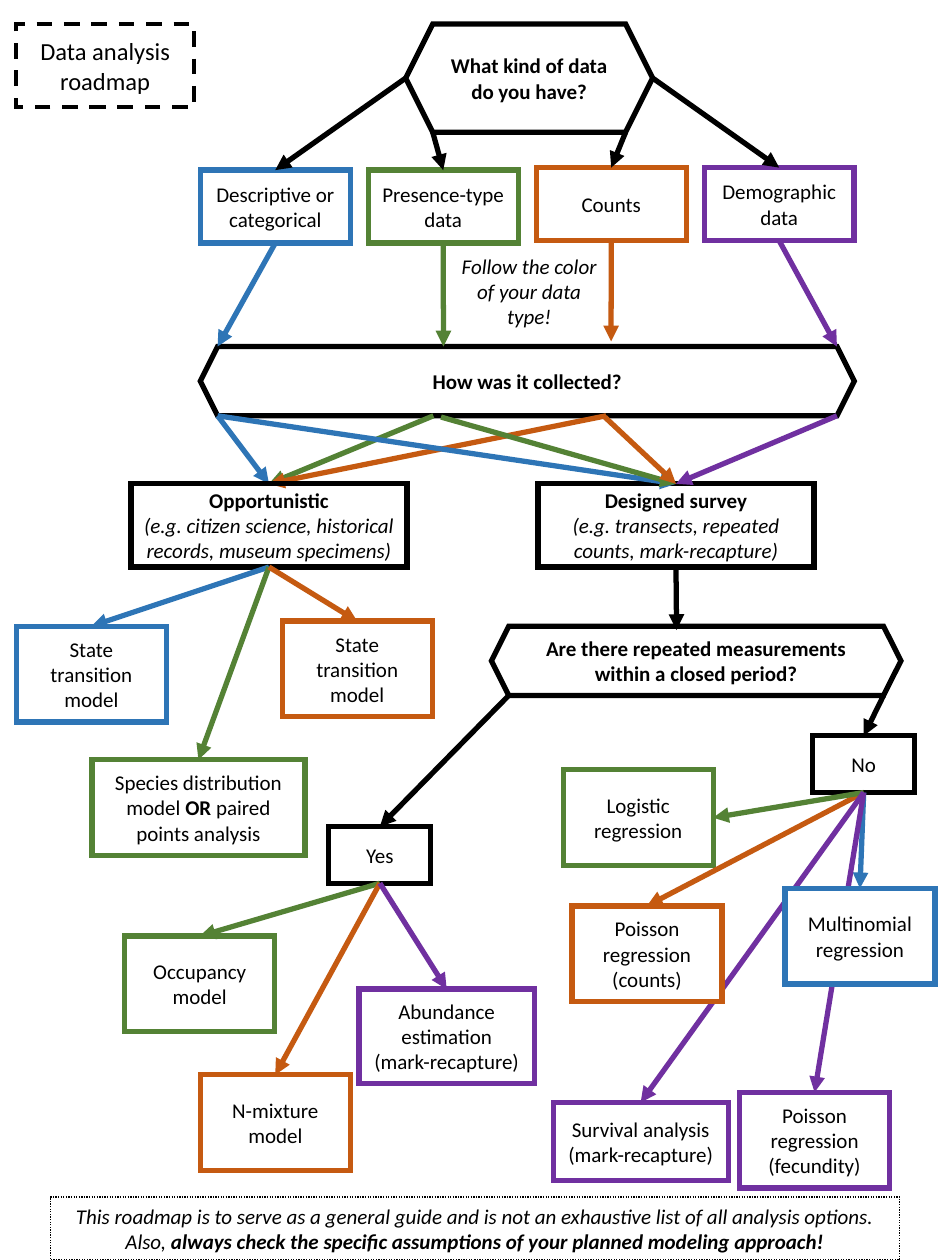
from lxml.etree import SubElement
from pptx import Presentation
from pptx.dml.color import RGBColor
from pptx.enum.dml import MSO_LINE as Dash
from pptx.enum.shapes import MSO_CONNECTOR as Connector, MSO_SHAPE as Preset
from pptx.enum.text import MSO_ANCHOR as Anchor, MSO_AUTO_SIZE as AutoSize, PP_ALIGN as Align
from pptx.oxml.ns import qn
from pptx.util import Inches, Pt

BLACK, WHITE = "000000", "FFFFFF"
BLUE, GREEN, ORANGE, PURPLE = "2E75B6", "548235", "C55A11", "7030A0"
COLUMNS, ROWS = 75, 100
TOP, LEFT, BOTTOM, RIGHT = range(4)
SITE_SHARES = [(0.5, 0), (0, 0.5), (0.5, 1), (1, 0.5)]


def color(hex_string):
    return RGBColor.from_string(hex_string)


def add_run(paragraph, text, size=12, bold=False, italic=False):
    run = paragraph.add_run()
    run.text = text
    font = run.font
    font.name, font.size, font.bold, font.italic = "Calibri", Pt(size), bold, italic
    font.color.rgb = color(BLACK)


class Flowchart:
    """Draws on one slide, with lengths in columns and rows of its grid."""

    def __init__(self, presentation):
        self.slide = presentation.slides.add_slide(presentation.slide_layouts[5])
        self.shapes = self.slide.shapes
        self.column = presentation.slide_width / COLUMNS
        self.row = presentation.slide_height / ROWS

    def at(self, column, row):
        return round(column * self.column), round(row * self.row)

    def set_text(self, shape, paragraphs, anchor=Anchor.MIDDLE, **style):
        """Fill a shape with paragraphs, each a string or a list of (text, format) runs."""
        if isinstance(paragraphs, str):
            paragraphs = [paragraphs]
        frame = shape.text_frame
        frame.word_wrap, frame.auto_size = True, AutoSize.NONE
        frame.vertical_anchor = anchor
        for index, runs in enumerate(paragraphs):
            paragraph = frame.add_paragraph() if index else frame.paragraphs[0]
            paragraph.alignment = Align.CENTER
            for text, extra in [(runs, {})] if isinstance(runs, str) else runs:
                add_run(paragraph, text, **{**style, **extra})

    def outline(self, shape, line_color, width=3, dash=None):
        """Set the line with sharp corners and return its XML element."""
        line = shape.line
        line.color.rgb, line.width = color(line_color), Pt(width)
        if dash:
            line.dash_style = dash
        element = shape.element.spPr.find(qn("a:ln"))
        SubElement(element, qn("a:miter"), lim="800000")
        return element

    def title(self, text, left, top, width, height):
        shape = self.shapes.title
        shape.left, shape.top = self.at(left, top)
        shape.width, shape.height = self.at(width, height)
        self.outline(shape, BLACK, 2.25, Dash.DASH)
        self.set_text(shape, text, size=14)

    def box(self, text, left, top, width=11.9, height=7.6, line=BLACK, line_width=3,
            dash=None, fill=None, preset=Preset.RECTANGLE, **style):
        shape = self.shapes.add_shape(preset, *self.at(left, top), *self.at(width, height))
        shape.shadow.inherit = False
        if fill:
            shape.fill.solid()
            shape.fill.fore_color.rgb = color(fill)
        else:
            shape.fill.background()
        self.outline(shape, line, line_width, dash)
        self.set_text(shape, text, **style)
        return shape

    def question(self, text, *area):
        return self.box(text, *area, preset=Preset.HEXAGON, bold=True)

    def note(self, text, left, top, width, height):
        shape = self.shapes.add_textbox(*self.at(left, top), *self.at(width, height))
        self.set_text(shape, text, anchor=Anchor.TOP, italic=True)

    def site(self, shape, side):
        """Return the middle of one side of a shape."""
        across, down = SITE_SHARES[side]
        return round(shape.left + across * shape.width), round(shape.top + down * shape.height)

    def corner(self, hexagon, vertical, horizontal):
        inset = hexagon.height // 4
        x = hexagon.left + (inset if horizontal == LEFT else hexagon.width - inset)
        return x, hexagon.top + (hexagon.height if vertical == BOTTOM else 0)

    def arrow(self, line_color, start, end, end_side=TOP):
        """Join two ends; each is a rectangle or a point on the slide."""
        ends = [(start, BOTTOM), (end, end_side)]
        points = [node if isinstance(node, tuple) else self.site(node, side) for node, side in ends]
        connector = self.shapes.add_connector(Connector.STRAIGHT, *points[0], *points[1])
        for (node, side), connect in zip(ends, (connector.begin_connect, connector.end_connect)):
            if not isinstance(node, tuple):
                connect(node, side)
        line = self.outline(connector, line_color)
        SubElement(line, qn("a:tailEnd"), type="triangle")
        SubElement(connector.element.spPr, qn("a:effectLst"))

    def bring_to_front(self, *shapes):
        for shape in shapes:
            self.shapes.element.append(shape.element)


def draw_collection(chart):
    """Draw the upper half and return the two kinds of survey."""
    kind = chart.question("What kind of data do you have?", 32.2, 1.9, 19.6, 8.6)
    collected = chart.question("How was it collected?", 15.9, 27.5, 51.9, 5.5)
    labels = ["Descriptive or categorical", "Presence-type data", "Counts", "Demographic data"]
    colors = [BLUE, GREEN, ORANGE, PURPLE]
    tops = [13.5, 13.5, 13.3, 13.3]
    data = [chart.box(label, 15.9 + 13.33 * index, top, height=5.8, line=line)
            for index, (label, line, top) in enumerate(zip(labels, colors, tops))]
    starts = [chart.site(kind, LEFT), chart.corner(kind, BOTTOM, LEFT),
              chart.corner(kind, BOTTOM, RIGHT), chart.site(kind, RIGHT)]
    ends = [chart.corner(collected, TOP, LEFT), chart.at(35.2, 27.5),
            chart.at(48.5, 27.1), chart.corner(collected, TOP, RIGHT)]
    for start, box, end, line in zip(starts, data, ends, colors):
        chart.arrow(BLACK, start, box)
        chart.arrow(line, box, end)
    chart.note("Follow the color of your data type!", 35.5, 19.6, 13, 7.1)

    opportunistic, designed = [
        chart.box([[(name, {"bold": True})], [(examples, {"italic": True})]],
                  left, 38.4, 21.9, 6.6)
        for name, examples, left in [
            ("Opportunistic", "(e.g. citizen science, historical records, museum specimens)", 10.4),
            ("Designed survey", "(e.g. transects, repeated counts, mark-recapture)", 42.7)]]
    left_end = chart.corner(collected, BOTTOM, LEFT)
    right_end = chart.corner(collected, BOTTOM, RIGHT)
    for line, start in [(BLUE, left_end), (GREEN, chart.at(34.4, 33)), (ORANGE, chart.at(48.1, 33))]:
        chart.arrow(line, start, opportunistic)
    chart.bring_to_front(opportunistic)
    for line, start in [(BLUE, left_end), (GREEN, chart.at(35, 33.1)),
                        (ORANGE, chart.at(48, 33.1)), (PURPLE, right_end)]:
        chart.arrow(line, start, designed)
    return opportunistic, designed


def draw_models(chart, opportunistic, designed):
    repeated = chart.question("Are there repeated measurements within a closed period?",
                              39, 49.7, 32.5, 5.5)
    chart.arrow(BLACK, designed, chart.at(53.7, 50))
    yes = chart.box("Yes", 26.1, 65.6, 8.1, 4.5)
    no = chart.box("No", 64.5, 58.4, 8.1, 4.5)
    chart.arrow(BLACK, chart.corner(repeated, BOTTOM, LEFT), yes)
    chart.arrow(BLACK, chart.corner(repeated, BOTTOM, RIGHT), no)

    species = [[("Species distribution model ", {}), ("OR", {"bold": True}),
                (" paired points analysis", {})]]
    for source, line, text, *area in [
            (opportunistic, BLUE, "State transition model", 1.3, 49.7),
            (opportunistic, GREEN, species, 7.3, 60.3, 16.9),
            (opportunistic, ORANGE, "State transition model", 22.4, 49.3),
            (yes, GREEN, "Occupancy model", 9.9, 74.3),
            (yes, ORANGE, "N-mixture model", 15.9, 85.3),
            (yes, PURPLE, "Abundance estimation (mark-recapture)", 28.5, 78.5, 13.9, 7.5)]:
        chart.arrow(line, source, chart.box(text, *area, line=line))

    counts = chart.box("Poisson regression (counts)", 45.4, 71.9, line=ORANGE, fill=WHITE)
    logistic = chart.box("Logistic regression", 44.7, 61.1, line=GREEN, fill=WHITE)
    multinomial = chart.box("Multinomial regression", 62.3, 70.5, line=BLUE, fill=WHITE)
    fecundity = chart.box("Poisson regression (fecundity)", 58.7, 86.7, line=PURPLE)
    survival = chart.box("Survival analysis (mark-recapture)", 43.9, 87.5, 13.9, 6.2, line=PURPLE)
    chart.arrow(ORANGE, no, counts)
    chart.arrow(GREEN, no, logistic, RIGHT)
    chart.arrow(BLUE, no, multinomial)
    chart.arrow(PURPLE, no, fecundity)
    chart.arrow(PURPLE, no, survival)
    chart.bring_to_front(counts, multinomial)


def main():
    presentation = Presentation()
    presentation.slide_width, presentation.slide_height = Inches(7.5), Inches(10)
    chart = Flowchart(presentation)
    chart.title("Data analysis roadmap", 1.3, 1.9, 14.1, 6.6)
    draw_models(chart, *draw_collection(chart))
    advice = [("This roadmap is to serve as a general guide and is not an exhaustive list "
               "of all analysis options. Also, ", {}),
              ("always check the specific assumptions of your planned modeling approach!",
               {"bold": True})]
    chart.box([advice], 4, 95, 67.4, 5, line_width=0.75, dash=Dash.ROUND_DOT,
              anchor=Anchor.TOP, italic=True)
    presentation.save("out.pptx")


if __name__ == "__main__":
    main()
